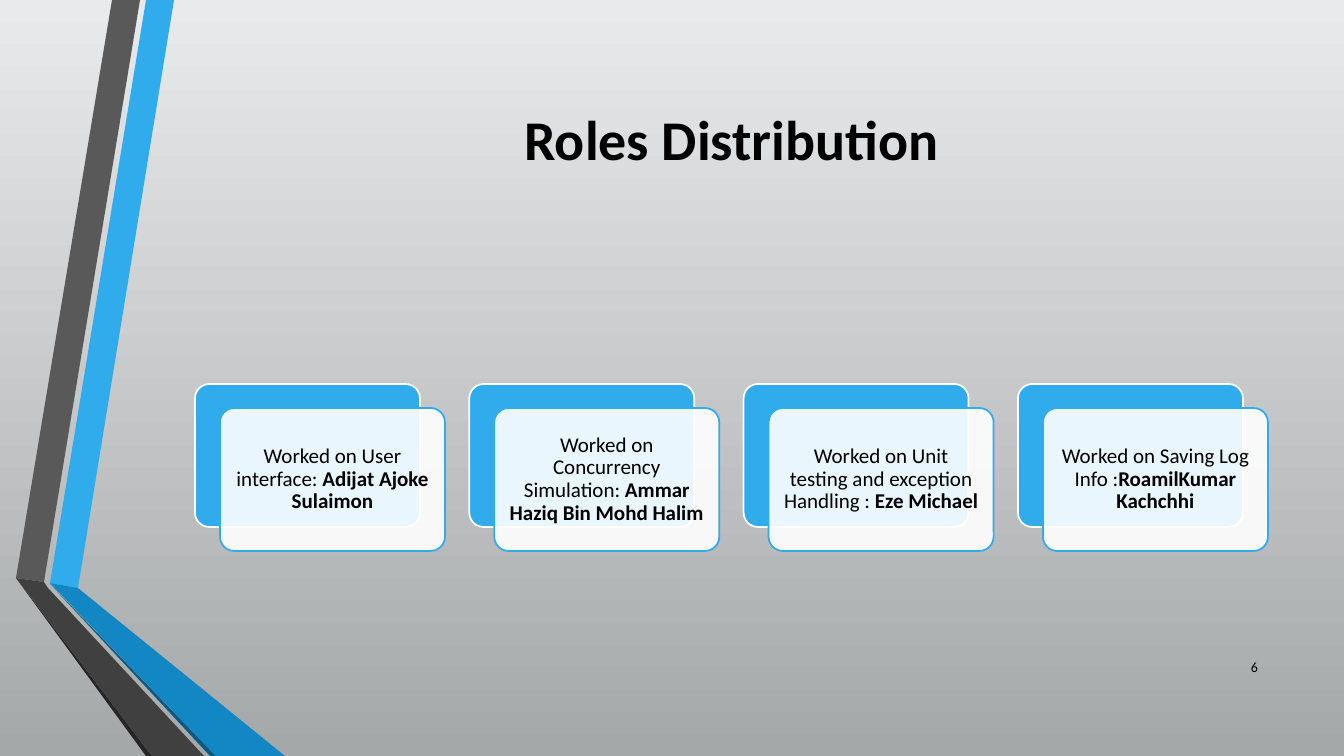
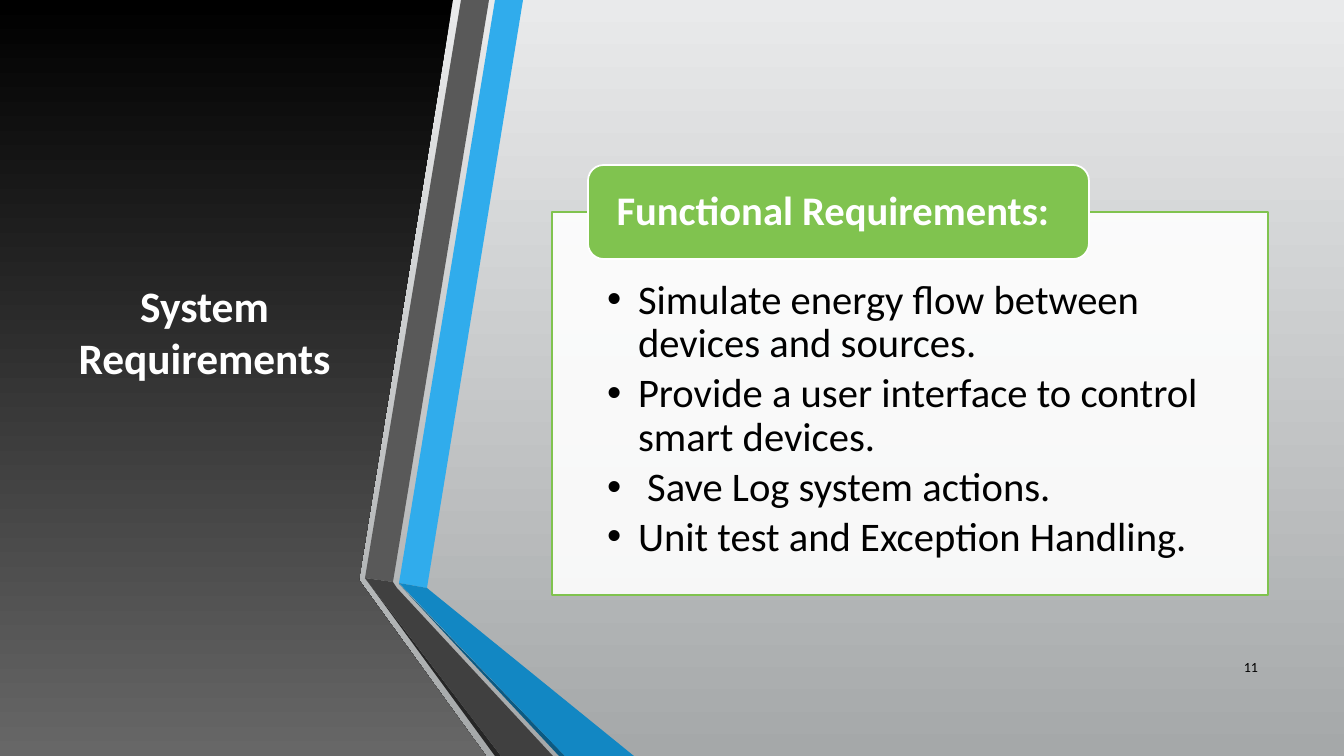
import dataclasses

import lxml.etree
import pptx
import pptx.dml.color
import pptx.enum.shapes
import pptx.enum.text
import pptx.oxml.ns
import pptx.util

SLIDE_WIDTH, SLIDE_HEIGHT = 1344, 756
SCALE = 12192000 / SLIDE_WIDTH
ALIGN = pptx.enum.text.PP_ALIGN
ANCHOR = pptx.enum.text.MSO_ANCHOR
SHAPE = pptx.enum.shapes.MSO_SHAPE


@dataclasses.dataclass(frozen=True)
class Theme:
    """Colours, font and type sizes shared by the slides."""
    font: str = "Calibri"
    black: str = "000000"
    white: str = "FFFFFF"
    blue: str = "30ACEC"
    blue_dark: str = "1287C3"
    blue_shadow: str = "0C5A82"
    grey: str = "595959"
    grey_dark: str = "404040"
    grey_shadow: str = "262626"
    green: str = "80C34F"
    background: tuple = ("E9EAEB", "A5A8A9")
    panel: tuple = ("000000", "676767")
    title_size: int = 40
    side_title_size: int = 31
    list_size: int = 29
    card_size: int = 15
    number_size: int = 10
    line_width: float = 1.25


THEME = Theme()

RIBBON = (
    (THEME.blue, ((50, 583), (78, 588), (174, 0), (146, 0))),
    (THEME.grey, ((140, 0), (112, 0), (16, 578), (44, 582))),
    (THEME.grey_shadow, ((16, 578), (146, 756), (152, 756))),
    (THEME.blue_shadow, ((50, 584), (210, 756), (216, 756))),
    (THEME.blue_dark, ((50, 583), (216, 756), (285, 756), (78, 588))),
    (THEME.grey_dark, ((204, 756), (48, 588), (44, 582), (16, 578), (152, 756))),
)
PANEL = ((0, 0), (453, 0), (359, 580), (486, 756), (0, 756))

ROLES = (
    ("Worked on User interface: ", "Adijat Ajoke Sulaimon"),
    ("Worked on Concurrency Simulation: ", "Ammar Haziq Bin Mohd Halim"),
    ("Worked on Unit testing and exception Handling : ", "Eze Michael"),
    ("Worked on Saving Log Info :", "RoamilKumar Kachchhi"),
)
REQUIREMENTS = (
    "Simulate energy flow between devices and sources.",
    "Provide a user interface to control smart devices.",
    " Save Log system actions.",
    "Unit test and Exception Handling.",
)


def px(length):
    """Turn a length in px into EMU."""
    return pptx.util.Emu(round(length * SCALE))


def rgb(color):
    """Turn a hex string into a colour."""
    return pptx.dml.color.RGBColor.from_string(color)


def apply(target, values):
    """Set each attribute named in values on the target."""
    for name, value in values.items():
        setattr(target, name, value)


def place(shape, box):
    """Move and size a shape to a px box."""
    apply(shape, dict(zip(("left", "top", "width", "height"), map(px, box))))


def fill_gradient(fill, colors):
    """Fill with two colours from top to bottom."""
    fill.gradient()
    fill.gradient_angle = 270
    for stop, color in zip(fill.gradient_stops, colors):
        stop.color.rgb = rgb(color)


def style_box(shape, color, line, opacity=100):
    """Give a shape a solid fill, an outline and an opacity in percent."""
    shape.fill.solid()
    shape.fill.fore_color.rgb = rgb(color)
    if opacity < 100:
        name = pptx.oxml.ns.qn("a:srgbClr")
        solid = shape.element.spPr.find(pptx.oxml.ns.qn("a:solidFill"))
        alpha = lxml.etree.SubElement(solid.find(name), pptx.oxml.ns.qn("a:alpha"))
        alpha.set("val", str(opacity * 1000))
    shape.line.color.rgb = rgb(line)
    shape.line.width = pptx.util.Pt(THEME.line_width)


def add_box(slide, kind, box, color, line, opacity=100):
    """Add a preset shape without a shadow."""
    shape = slide.shapes.add_shape(kind, *map(px, box))
    shape.shadow.inherit = False
    style_box(shape, color, line, opacity)
    return shape


def add_outline(slide, points, left=0):
    """Add a closed freeform without line or shadow, shifted by left."""
    points = [(x + left, y) for x, y in points]
    builder = slide.shapes.build_freeform(*points[0], scale=SCALE)
    builder.add_line_segments(points[1:], close=True)
    shape = builder.convert_to_shape()
    shape.shadow.inherit = False
    shape.line.fill.background()
    return shape


def set_frame(shape, anchor, margins=(10, 5, 10, 5)):
    """Set the anchor and the left, top, right and bottom margins in px."""
    sides = ("margin_left", "margin_top", "margin_right", "margin_bottom")
    apply(shape.text_frame, {
        "word_wrap": True,
        "auto_size": pptx.enum.text.MSO_AUTO_SIZE.NONE,
        "vertical_anchor": anchor,
        **dict(zip(sides, map(px, margins))),
    })
    return shape.text_frame


def write(paragraph, runs, size, color=THEME.black, **layout):
    """Write (text, bold) runs and set the paragraph layout."""
    apply(paragraph, {"space_before": pptx.util.Pt(0), **layout})
    for text, bold in runs:
        run = paragraph.add_run()
        run.text = text
        apply(run.font, {"name": THEME.font, "size": pptx.util.Pt(size), "bold": bold})
        run.font.color.rgb = rgb(color)


def add_ribbon(slide, left=0):
    """Draw the folded ribbon, shifted by left."""
    for color, points in RIBBON:
        shape = add_outline(slide, points, left)
        shape.fill.solid()
        shape.fill.fore_color.rgb = rgb(color)


def set_title(slide, text, box, size, color):
    """Fill the title placeholder and bring it to the front."""
    title = slide.shapes.title
    place(title, box)
    frame = set_frame(title, ANCHOR.MIDDLE)
    write(frame.paragraphs[0], [(text, True)], size, color, alignment=ALIGN.CENTER)
    title.element.getparent().append(title.element)


def add_number(slide, number):
    """Write the slide number at the lower right."""
    shape = slide.shapes.add_textbox(*map(px, (1208, 647, 60, 40)))
    frame = set_frame(shape, ANCHOR.MIDDLE)
    write(frame.paragraphs[0], [(str(number), False)], THEME.number_size,
          alignment=ALIGN.RIGHT)


def add_card(slide, box, task, person):
    """Draw a blue card with a white card in front that names task and person."""
    left, top, width, height = box
    shift_x, shift_y = 25, 24
    size = (width - shift_x, height - shift_y)
    add_box(slide, SHAPE.ROUNDED_RECTANGLE, (left, top, *size),
            THEME.blue, THEME.white).adjustments[0] = 0.1
    front = add_box(slide, SHAPE.ROUNDED_RECTANGLE,
                    (left + shift_x, top + shift_y, *size),
                    THEME.white, THEME.blue, 90)
    front.adjustments[0] = 0.1
    frame = set_frame(front, ANCHOR.MIDDLE, (10, 10, 10, 10))
    write(frame.paragraphs[0], [(task, False), (person, True)], THEME.card_size,
          alignment=ALIGN.CENTER, line_spacing=0.9)


def add_cards(slide, box, roles):
    """Spread one card per role evenly over the box."""
    left, top, width, height = box
    card_width = 250
    step = (width - card_width) / (len(roles) - 1)
    for index, (task, person) in enumerate(roles):
        add_card(slide, (left + index * step, top, card_width, height), task, person)


def add_requirements(slide, box, heading, items):
    """Fill the body placeholder as a framed list with a heading badge."""
    left, top, width, height = box
    body = slide.placeholders[1]
    place(body, box)
    style_box(body, THEME.white, THEME.green, 90)
    frame = set_frame(body, ANCHOR.TOP, (55, 67, 55, 23))
    for index, item in enumerate(items):
        paragraph = frame.add_paragraph() if index else frame.paragraphs[0]
        write(paragraph, [(item, False)], THEME.list_size, alignment=ALIGN.LEFT,
              line_spacing=0.9, space_after=pptx.util.Pt(4.35))
        properties = paragraph._p.get_or_add_pPr()
        properties.set("marL", str(px(31)))
        properties.set("indent", str(px(-31)))
        bullet = lxml.etree.SubElement(properties, pptx.oxml.ns.qn("a:buChar"))
        bullet.set("char", "•")
    badge = add_box(slide, SHAPE.ROUNDED_RECTANGLE,
                    (left + 36, top - 47, round(width * 0.7), 94),
                    THEME.green, THEME.white)
    frame = set_frame(badge, ANCHOR.MIDDLE, (24, 5, 24, 5))
    write(frame.paragraphs[0], [(heading, True)], THEME.list_size, THEME.white,
          alignment=ALIGN.LEFT, line_spacing=0.9)


def build_roles_slide(presentation):
    """Build the slide with one card per role."""
    slide = presentation.slides.add_slide(presentation.slide_layouts[5])
    add_ribbon(slide)
    set_title(slide, "Roles Distribution", (195, 76, 1073, 125),
              THEME.title_size, THEME.black)
    add_cards(slide, (195, 384, 1073, 167), ROLES)
    add_number(slide, 6)


def build_requirements_slide(presentation):
    """Build the slide with a dark title panel and a framed list."""
    slide = presentation.slides.add_slide(presentation.slide_layouts[1])
    fill_gradient(add_outline(slide, PANEL).fill, THEME.panel)
    add_ribbon(slide, 349)
    set_title(slide, "System Requirements", (59, 76, 291, 510),
              THEME.side_title_size, THEME.white)
    add_requirements(slide, (552, 212, 716, 383), "Functional Requirements:",
                     REQUIREMENTS)
    add_number(slide, 11)


def main():
    """Build and save the presentation."""
    presentation = pptx.Presentation()
    apply(presentation, {"slide_width": px(SLIDE_WIDTH),
                         "slide_height": px(SLIDE_HEIGHT)})
    fill_gradient(presentation.slide_master.background.fill, THEME.background)
    build_roles_slide(presentation)
    build_requirements_slide(presentation)
    presentation.save("out.pptx")


if __name__ == "__main__":
    main()
